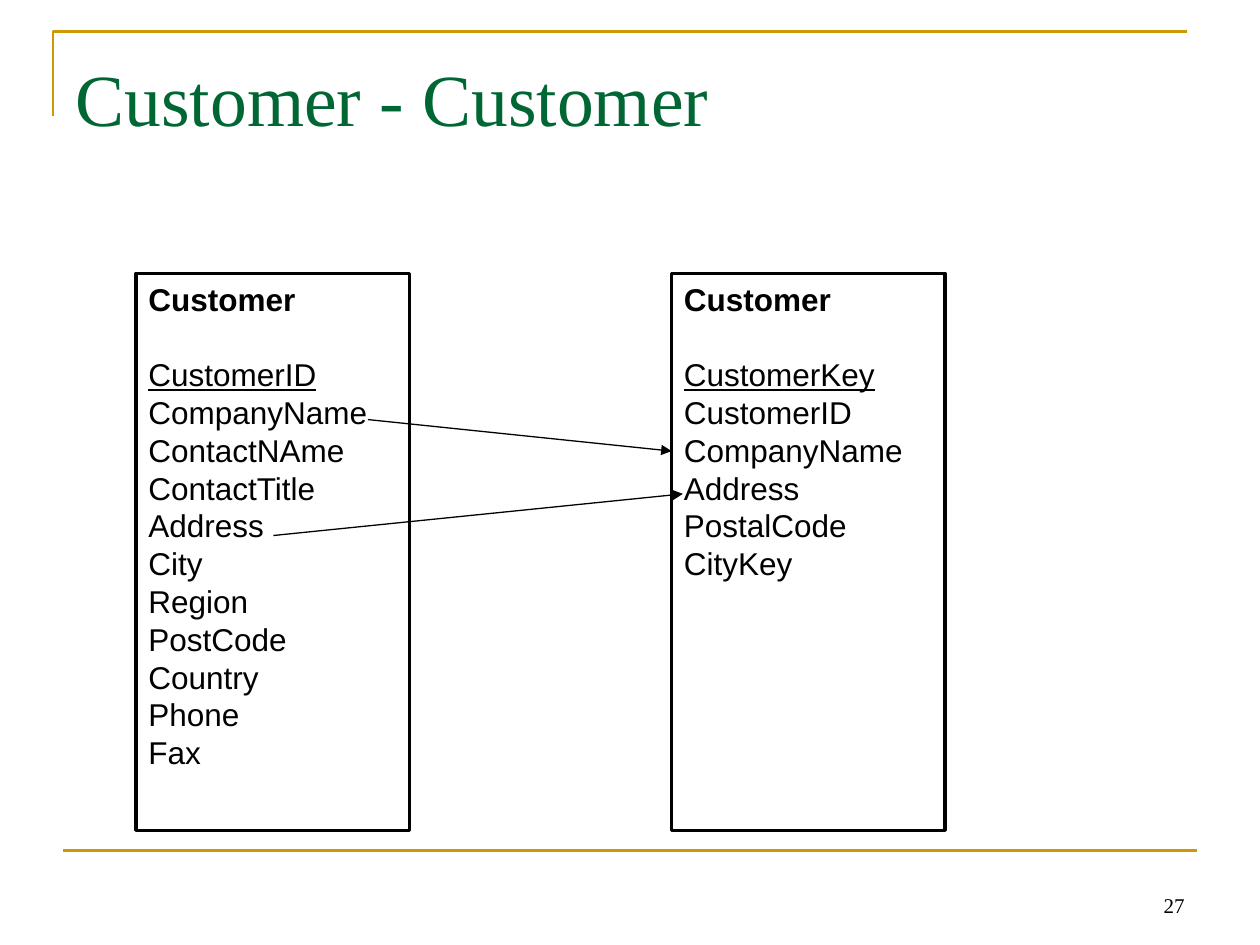
"""Builds a slide that maps customer source fields to a customer dimension."""
from lxml import etree
from pptx import Presentation
from pptx.dml.color import RGBColor
from pptx.enum.shapes import MSO_CONNECTOR, MSO_SHAPE
from pptx.enum.text import MSO_ANCHOR, PP_ALIGN
from pptx.oxml.ns import qn
from pptx.util import Inches, Pt

RECT = MSO_SHAPE.RECTANGLE
LINE = MSO_CONNECTOR.STRAIGHT
TOP, BOTTOM = MSO_ANCHOR.TOP, MSO_ANCHOR.BOTTOM
LEFT, RIGHT = PP_ALIGN.LEFT, PP_ALIGN.RIGHT

HEX = {"ink": "000000", "paper": "FFFFFF", "gold": "CC9900", "green": "006633"}
SERIF, SANS = "Times New Roman", "Arial"
PITCH = Pt(21.6)

SOURCE = ["CustomerID", "CompanyName", "ContactNAme", "ContactTitle", "Address",
          "City", "Region", "PostCode", "Country", "Phone", "Fax"]
TARGET = ["CustomerKey", "CustomerID", "CompanyName", "Address", "PostalCode",
          "CityKey"]


def shade(name):
    return RGBColor.from_string(HEX[name])


def apply(item, values):
    for key, value in values.items():
        setattr(item, key, value)


class Deck:
    """Holds the style and the current slide."""

    def __init__(self):
        self.file = Presentation()
        apply(self.file, {"slide_width": Inches(10), "slide_height": Inches(7.5)})
        self.slide = self.file.slides.add_slide(self.file.slide_layouts[5])
        self.shapes = self.slide.shapes

    def frame(self, shape, **values):
        margins = {"margin_left": Inches(0.1), "margin_right": Inches(0.1),
                   "margin_top": Inches(0.05), "margin_bottom": Inches(0.05)}
        apply(shape.text_frame, {**margins, **values})
        return shape.text_frame

    def label(self, para, text, size, face, color="ink", align=LEFT, **style):
        para.text = text
        para.alignment = align
        apply(para.font, {"size": Pt(size), "name": face, **style})
        para.font.color.rgb = shade(color)

    def stroke(self, shape, color, width):
        shape.line.color.rgb = shade(color)
        shape.line.width = Pt(width)

    def title(self, text):
        box = self.shapes.title
        apply(box, {"left": Inches(0.5), "top": Inches(0.3),
                    "width": Inches(9), "height": Inches(1.25)})
        frame = self.frame(box, vertical_anchor=TOP, word_wrap=True,
                           margin_top=Inches(0.12))
        self.label(frame.paragraphs[0], text, 42, SERIF, "green")

    def corner(self):
        pen = self.shapes.build_freeform(Inches(0.42), Inches(0.92))
        pen.add_line_segments([(Inches(0.42), Inches(0.25)),
                               (Inches(9.42), Inches(0.25))], close=False)
        shape = pen.convert_to_shape()
        shape.shadow.inherit = False
        shape.fill.background()
        self.stroke(shape, "gold", 1.5)

    def line(self, start, end, color="ink", width=0.75, arrow=False):
        ends = [Inches(n) for n in (*start, *end)]
        link = self.shapes.add_connector(LINE, *ends)
        self.stroke(link, color, width)
        props = link._element.spPr
        if arrow:
            etree.SubElement(props.find(qn("a:ln")), qn("a:tailEnd"),
                             type="triangle")
        etree.SubElement(props, qn("a:effectLst"))

    def number(self, text):
        box = self.shapes.add_textbox(Inches(7.17), Inches(6.83),
                                      Inches(2.33), Inches(0.5))
        frame = self.frame(box, vertical_anchor=BOTTOM, word_wrap=True)
        self.label(frame.paragraphs[0], text, 12, SERIF, align=RIGHT)

    def entity(self, left, name, fields):
        box = self.shapes.add_shape(RECT, Inches(left), Inches(2.17),
                                    Inches(2.17), Inches(4.42))
        box.shadow.inherit = False
        box.fill.solid()
        box.fill.fore_color.rgb = shade("paper")
        self.stroke(box, "ink", 2)
        frame = self.frame(box, vertical_anchor=TOP, word_wrap=False)
        for row, text in enumerate([name, *fields]):
            para = frame.add_paragraph() if row else frame.paragraphs[0]
            self.label(para, text, 18, SANS, bold=row == 0, underline=row == 1)
            para.line_spacing = PITCH
            if row == 1:
                para.space_before = PITCH


def main():
    deck = Deck()
    deck.corner()
    deck.line((0.5, 6.75), (9.5, 6.75), "gold", 1.5)
    deck.number("27")
    deck.title("Customer - Customer")
    deck.entity(1.08, "Customer", SOURCE)
    deck.entity(5.33, "Customer", TARGET)
    deck.line((2.92, 3.33), (5.33, 3.58), arrow=True)
    deck.line((2.17, 4.25), (5.42, 3.92), arrow=True)
    deck.file.save("out.pptx")


if __name__ == "__main__":
    main()
